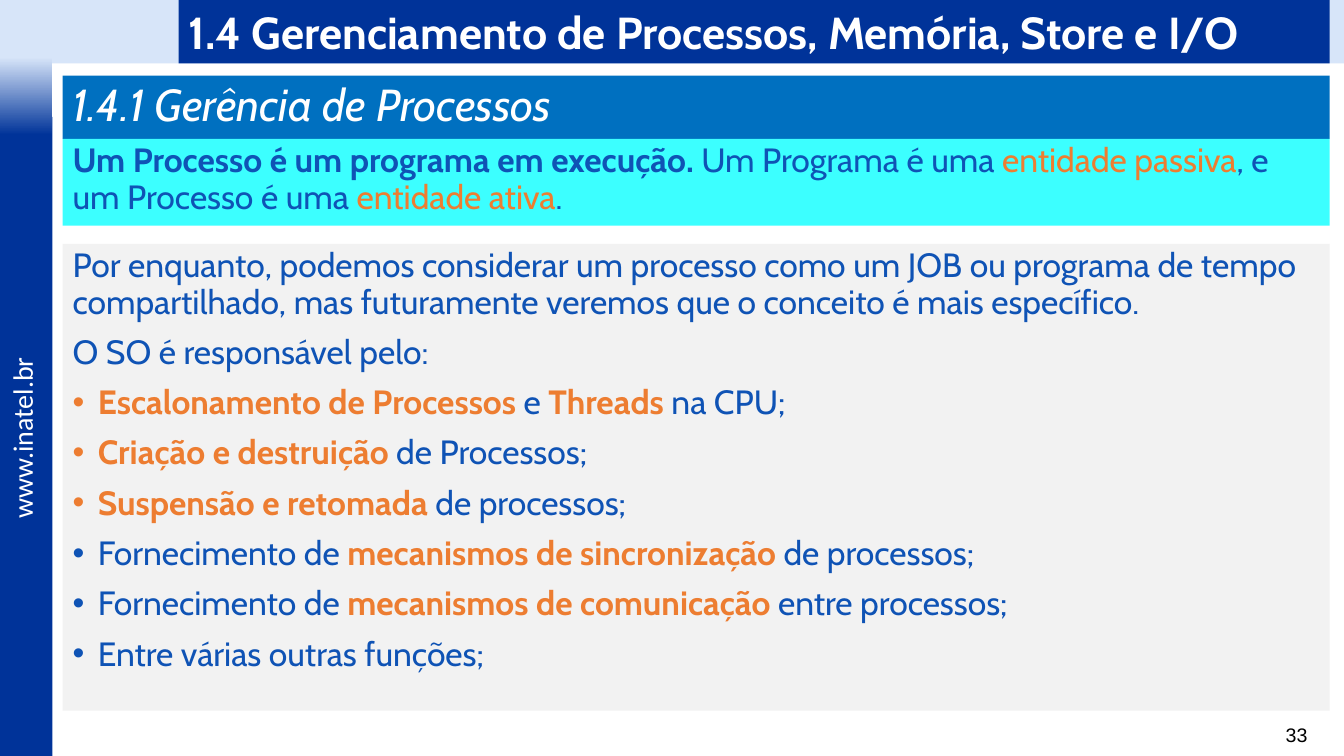
from lxml.etree import SubElement
from pptx import Presentation
from pptx.dml.color import RGBColor
from pptx.enum.shapes import MSO_SHAPE
from pptx.enum.text import MSO_ANCHOR, MSO_AUTO_SIZE, PP_ALIGN
from pptx.oxml.ns import qn
from pptx.util import Pt

NAVY, SKY, WHITE, BLACK = "003399", "D7E5F9", "FFFFFF", "000000"
BLUE, ORANGE = "0F53B5", "ED7D31"
PLAIN, STRONG = (BLUE, False), (BLUE, True)
ACCENT, KEY = (ORANGE, False), (ORANGE, True)


def colour(value):
    return RGBColor.from_string(value)


class Slide:
    font = "Cabin"
    line_spacing = 0.9
    gap = 10
    indent = 18

    def __init__(self, presentation):
        self.slide = presentation.slides.add_slide(presentation.slide_layouts[5])
        self.shapes = self.slide.shapes

    def style(self, font, size, look=None, name=None, italic=None):
        font.name, font.size, font.italic = name or self.font, Pt(size), italic
        if look:
            self.paint(font, look)

    def paint(self, font, look):
        font.color.rgb, font.bold = colour(look[0]), look[1]

    def panel(self, box, fill):
        panel = self.shapes.add_shape(MSO_SHAPE.RECTANGLE, *map(Pt, box))
        panel.shadow.inherit = False
        panel.line.fill.background()
        panel.fill.solid()
        panel.fill.fore_color.rgb = colour(fill)
        return panel

    def fade(self, box, top, bottom):
        fill = self.panel(box, top).fill
        fill.gradient()
        fill.gradient_angle = 270
        for stop, value in zip(fill.gradient_stops, (top, bottom)):
            stop.color.rgb = colour(value)

    def label(self, box, text, size, ink, name, rotation=0, align=PP_ALIGN.LEFT):
        label = self.shapes.add_textbox(*map(Pt, box))
        label.rotation = rotation
        label.text_frame.word_wrap = True
        paragraph = label.text_frame.paragraphs[0]
        paragraph.text, paragraph.alignment = text, align
        self.style(paragraph.font, size, (ink, False), name)

    def title(self, box, text, size, fill):
        title = self.shapes.title
        tree = title.element.getparent()
        tree.append(title.element)
        title.left, title.top, title.width, title.height = map(Pt, box)
        outline = SubElement(title.element.spPr, qn("a:prstGeom"), prst="round2DiagRect")
        guides = SubElement(outline, qn("a:avLst"))
        for guide, value in (("adj1", 50000), ("adj2", 0)):
            SubElement(guides, qn("a:gd"), name=guide, fmla=f"val {value}")
        title.fill.solid()
        title.fill.fore_color.rgb = colour(fill)
        frame = title.text_frame
        frame.auto_size, frame.word_wrap = MSO_AUTO_SIZE.NONE, True
        frame.vertical_anchor = MSO_ANCHOR.MIDDLE
        paragraph = frame.paragraphs[0]
        paragraph.text, paragraph.alignment = text, PP_ALIGN.LEFT
        self.style(paragraph.font, size, (WHITE, True))

    def passage(self, box, fill, paragraphs, size=24, anchor=MSO_ANCHOR.TOP,
                italic=None, bullets_from=None):
        frame = self.panel(box, fill).text_frame
        frame.word_wrap, frame.vertical_anchor = True, anchor
        for number, spans in enumerate(paragraphs):
            paragraph = frame.add_paragraph() if number else frame.paragraphs[0]
            paragraph.alignment = PP_ALIGN.LEFT
            paragraph.line_spacing = self.line_spacing
            paragraph.space_before = Pt(self.gap if number else 0)
            if bullets_from is not None and number >= bullets_from:
                self.bullet(paragraph)
            looks = {look for _, look in spans}
            shared = looks.pop() if len(looks) == 1 else None
            self.style(paragraph.font, size, shared, italic=italic)
            for text, look in spans:
                run = paragraph.add_run()
                run.text = text
                if not shared:
                    self.paint(run.font, look)

    def bullet(self, paragraph):
        properties = paragraph._p.get_or_add_pPr()
        properties.set("marL", str(Pt(self.indent)))
        properties.set("indent", str(-Pt(self.indent)))
        SubElement(properties, qn("a:buFont"), typeface="Arial")
        SubElement(properties, qn("a:buChar"), char="•")


def main():
    presentation = Presentation()
    presentation.slide_width, presentation.slide_height = Pt(960), Pt(540)
    page = Slide(presentation)
    left, width, band = 44.8, 905, 45.2

    page.panel((0, 0, 960, band), SKY)
    page.panel((0, 83.5, 37.4, 456.5), NAVY)
    page.fade((0, 41, 37.4, 55.4), SKY, NAVY)
    page.label((-51.8, 294.5, 134.6, 31), "www.inatel.br", 20, WHITE, "Calibri", 270)
    page.label((894.2, 512.6, 46.8, 24.5), "33", 14, BLACK, "Arial", align=PP_ALIGN.RIGHT)
    page.title((127.6, 0, 822.2, band),
               "1.4 Gerenciamento de Processos, Memória, Store e I/O", 32, NAVY)

    page.passage((left, 54, width, band), "0070C0",
                 [[("1.4.1 Gerência de Processos", (WHITE, False))]],
                 size=32, anchor=MSO_ANCHOR.MIDDLE, italic=True)
    page.passage((left, 99.2, width, 62), "3CFFFF", [[
        ("Um Processo é um programa em execução.", STRONG),
        (" Um Programa é uma ", PLAIN),
        ("entidade passiva", ACCENT),
        (", e um Processo é uma ", PLAIN),
        ("entidade ativa", ACCENT),
        (".", PLAIN),
    ]])
    page.passage((left, 174.2, width, 333.4), "F2F2F2", [
        [("Por enquanto, podemos considerar um processo como um JOB ou programa de tempo "
          "compartilhado, mas futuramente veremos que o conceito é mais específico.", PLAIN)],
        [("O SO é responsável pelo:", PLAIN)],
        [("Escalonamento de Processos", KEY), (" e ", PLAIN),
         ("Threads", KEY), (" na CPU;", PLAIN)],
        [("Criação e destruição", KEY), (" de Processos;", PLAIN)],
        [("Suspensão e retomada", KEY), (" de processos;", PLAIN)],
        [("Fornecimento de ", PLAIN), ("mecanismos de sincronização", KEY),
         (" de processos;", PLAIN)],
        [("Fornecimento de ", PLAIN), ("mecanismos de comunicação", KEY),
         (" entre processos;", PLAIN)],
        [("Entre várias outras funções;", PLAIN)],
    ], bullets_from=2)
    presentation.save("out.pptx")


if __name__ == "__main__":
    main()
